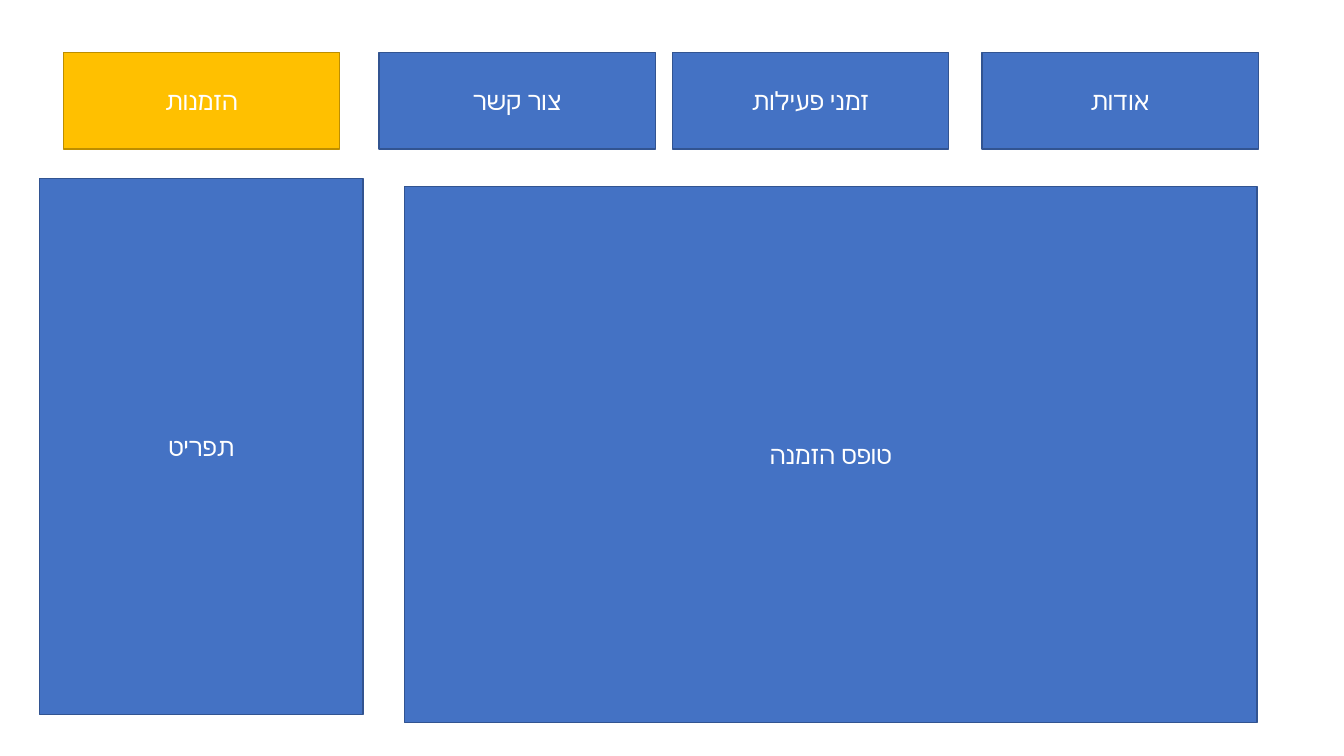
from typing import NamedTuple

import pptx
import pptx.dml.color
import pptx.enum.lang
import pptx.enum.shapes
import pptx.enum.text
import pptx.slide
import pptx.util

PX = 9144  # EMU per px, 100 px to the inch

BLUE = pptx.dml.color.RGBColor(0x44, 0x72, 0xC4)
DARK_BLUE = pptx.dml.color.RGBColor(0x32, 0x54, 0x91)
GOLD = pptx.dml.color.RGBColor(0xFF, 0xC0, 0x00)
DARK_GOLD = pptx.dml.color.RGBColor(0xBD, 0x8E, 0x00)
WHITE = pptx.dml.color.RGBColor(0xFF, 0xFF, 0xFF)

TAB_TOP, TAB_WIDTH, TAB_HEIGHT = 52, 274, 96
PANEL_HEIGHT = 532


class Box(NamedTuple):
    text: str
    left: int
    top: int
    width: int
    height: int
    fill: pptx.dml.color.RGBColor = BLUE
    line: pptx.dml.color.RGBColor = DARK_BLUE


def tab(text: str, left: int, fill: pptx.dml.color.RGBColor = BLUE,
        line: pptx.dml.color.RGBColor = DARK_BLUE) -> Box:
    return Box(text, left, TAB_TOP, TAB_WIDTH, TAB_HEIGHT, fill, line)


# Navigation tabs, right to left, with the active one in gold
TABS = [
    tab("אודות", 974),
    tab("זמני פעילות", 667),
    tab("צור קשר", 376),
    tab("הזמנות", 63, GOLD, DARK_GOLD),
]

# Page content: menu and order form
PANELS = [
    Box("תפריט", 39, 177, 321, PANEL_HEIGHT),
    Box("טופס הזמנה", 401, 185, 846, PANEL_HEIGHT),
]


def add_box(s: pptx.slide.Slide, box: Box) -> None:
    sp = s.shapes.add_shape(
        pptx.enum.shapes.MSO_SHAPE.RECTANGLE,
        box.left * PX, box.top * PX, box.width * PX, box.height * PX)
    sp.shadow.inherit = False
    sp.fill.solid()
    sp.fill.fore_color.rgb = box.fill
    sp.line.color.rgb = box.line
    sp.line.width = pptx.util.Pt(1)

    # Centred right-to-left label
    tf = sp.text_frame
    tf.text = box.text
    tf.word_wrap = True
    tf.vertical_anchor = pptx.enum.text.MSO_ANCHOR.MIDDLE
    p = tf.paragraphs[0]
    p.alignment = pptx.enum.text.PP_ALIGN.CENTER
    p._p.get_or_add_pPr().set("rtl", "1")
    r = p.runs[0]
    r.font.name = "Calibri"
    r.font.size = pptx.util.Pt(18)
    r.font.color.rgb = WHITE
    r.font.language_id = pptx.enum.lang.MSO_LANGUAGE_ID.HEBREW


def main() -> None:
    prs = pptx.Presentation()
    prs.slide_width = pptx.util.Emu(1333 * PX)
    prs.slide_height = pptx.util.Emu(750 * PX)
    s = prs.slides.add_slide(prs.slide_layouts[6])  # blank layout
    for box in TABS + PANELS:
        add_box(s, box)
    prs.save("out.pptx")


if __name__ == "__main__":
    main()
